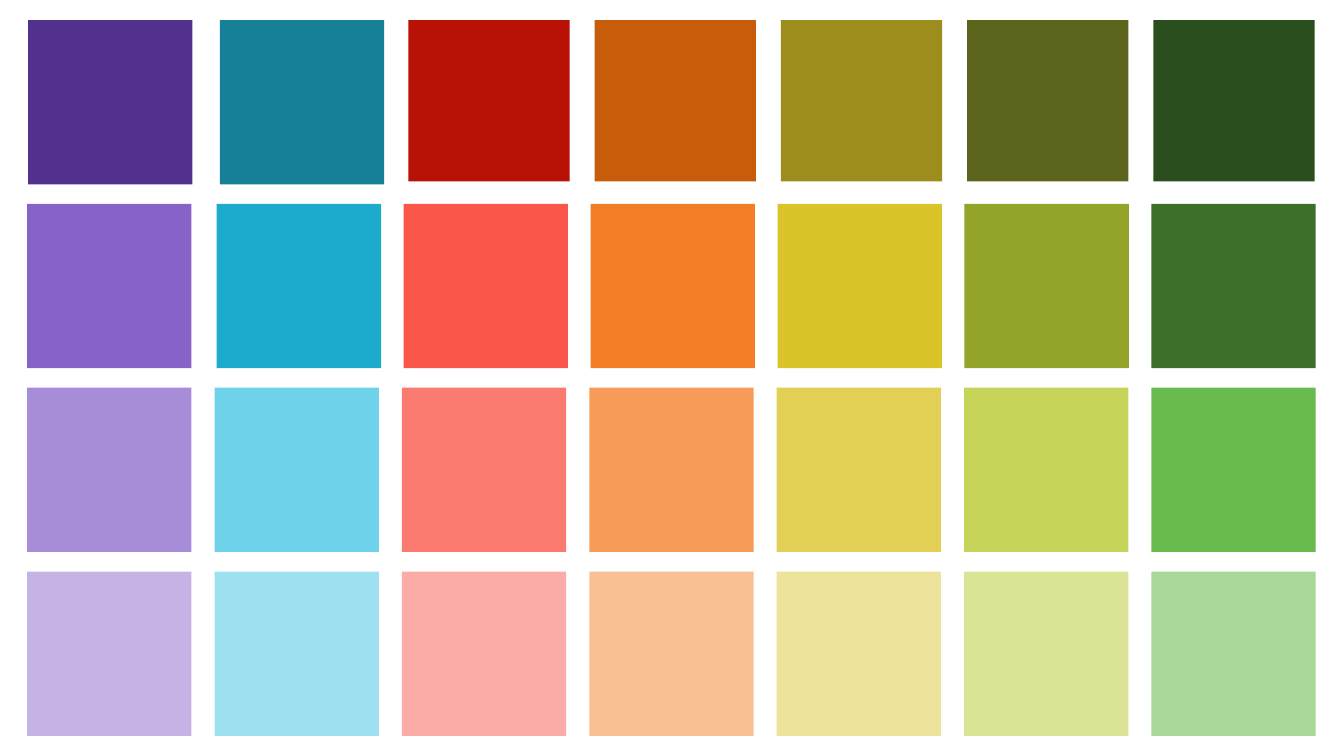
from pptx import Presentation
from pptx.dml.color import RGBColor
from pptx.enum.shapes import MSO_SHAPE as Shape
from pptx.util import Inches

SWATCH = 1.63
SMALL_SWATCH = 1.6
FIRST_TOP, LAST_TOP = 0.2, 5.67


def spread(first, last, count):
    return [first + (last - first) * index / (count - 1) for index in range(count)]


def paint(shape, color):
    shape.fill.solid()
    shape.fill.fore_color.rgb = RGBColor.from_string(color)
    shape.line.fill.background()
    shape.shadow.inherit = False


even_lefts = spread(0.27, 11.42, 7)
dark_lefts = [0.28, 2.18] + spread(4.05, 11.44, 5)
strong_lefts = [0.27] + spread(2.15, 11.42, 6)

palette = [
    (dark_lefts, ["52318E", "168099", "B71205", "C75C0B", "9C8D1C", "5B641A", "2B4E1E"]),
    (strong_lefts, ["8763C9", "1DABCD", "FA5649", "F37E27", "D9C429", "94A32A", "3D6F2B"]),
    (even_lefts, ["A78DD8", "6DD2EA", "FB7B71", "F69C58", "E1D055", "C6D559", "6ABB4D"]),
    (even_lefts, ["C5B3E5", "9EE1F1", "FCACA6", "F9C095", "EDE39B", "DAE494", "A9D898"]),
]
tops = spread(FIRST_TOP, LAST_TOP, len(palette))

deck = Presentation()
deck.slide_width = Inches(13.33)
deck.slide_height = Inches(7.5)
page = deck.slides.add_slide(deck.slide_layouts[6])

for top, (lefts, colors) in zip(tops, palette):
    for column, (left, color) in enumerate(zip(lefts, colors)):
        size = SMALL_SWATCH if top == FIRST_TOP and column >= 2 else SWATCH
        swatch = page.shapes.add_shape(
            Shape.RECTANGLE, Inches(left), Inches(top), Inches(size), Inches(size)
        )
        paint(swatch, color)

deck.save("out.pptx")
